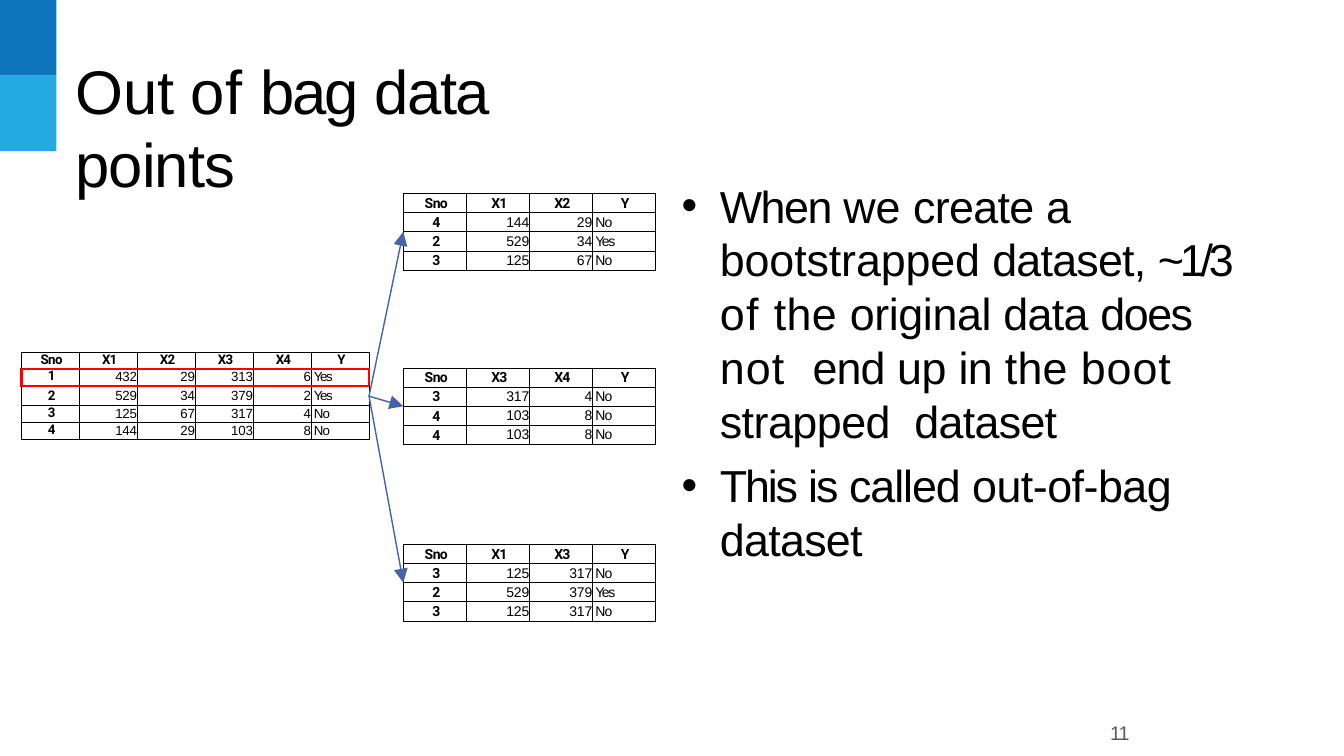
from lxml import etree
from pptx import Presentation
from pptx.dml.color import RGBColor
from pptx.enum.shapes import MSO_CONNECTOR, MSO_SHAPE
from pptx.enum.text import MSO_ANCHOR, MSO_AUTO_SIZE, PP_ALIGN
from pptx.oxml.ns import qn
from pptx.util import Inches, Pt

BLACK = RGBColor(0x00, 0x00, 0x00)
RED = RGBColor(0xFF, 0x00, 0x00)
GREY = RGBColor(0x58, 0x58, 0x58)
DARK_BLUE = RGBColor(0x0E, 0x75, 0xBC)
LIGHT_BLUE = RGBColor(0x24, 0xAA, 0xE1)
ARROW_BLUE = RGBColor(0x46, 0x62, 0xAA)
LEFT, CENTER, RIGHT = PP_ALIGN.LEFT, PP_ALIGN.CENTER, PP_ALIGN.RIGHT
TOP, NO_FIT = MSO_ANCHOR.TOP, MSO_AUTO_SIZE.NONE
RECTANGLE, STRAIGHT = MSO_SHAPE.RECTANGLE, MSO_CONNECTOR.STRAIGHT

TITLE = [("Out ", -0.3), ("of ", 0.3), ("bag ", -1.6), ("data ", -0.9), ("points", -0.7)]
POINTS = [
    [("When ", -1.1), ("we ", 0), ("create ", -0.5), ("a ", -2.1),
     ("bootstrapped ", -0.1), ("dataset, ", -0.6), ("~1/3 ", -3), ("of ", 1),
     ("the ", 0.2), ("original ", -0.3), ("data ", -0.5), ("does ", -1.1),
     ("not  ", 0.8), ("end ", -0.7), ("up ", -0.3), ("in ", -0.4), ("the ", 0.2),
     ("boot ", 0.7), ("strapped  ", -0.4), ("dataset", -0.5)],
    [("This ", -1.6), ("is ", -1.4), ("called ", -0.8), ("out-of-bag  ", -0.4),
     ("dataset", -0.5)],
]
SOURCE_ROWS = [
    ["Sno", "X1", "X2", "X3", "X4", "Y"],
    ["1", "432", "29", "313", "6", "Yes"],
    ["2", "529", "34", "379", "2", "Yes"],
    ["3", "125", "67", "317", "4", "No"],
    ["4", "144", "29", "103", "8", "No"],
]
SAMPLES = [
    (1.92, [["Sno", "X1", "X2", "Y"], ["4", "144", "29", "No"],
            ["2", "529", "34", "Yes"], ["3", "125", "67", "No"]]),
    (3.65, [["Sno", "X3", "X4", "Y"], ["3", "317", "4", "No"],
            ["4", "103", "8", "No"], ["4", "103", "8", "No"]]),
    (5.4, [["Sno", "X1", "X3", "Y"], ["3", "125", "317", "No"],
           ["2", "529", "379", "Yes"], ["3", "125", "317", "No"]]),
]
TRACKING = {"Sno": -0.4, "Yes": -1, "No": -0.6, "Y": 0}


def write(para, text, size, color=BLACK, font="Arial", bold=False, tracking=0):
    """Add one formatted span to a paragraph."""
    span = para.add_run()
    span.text = text
    span.font.size = Pt(size)
    span.font.name = font
    span.font.bold = bold
    span.font.color.rgb = color
    span._r.get_or_add_rPr().set("spc", str(round(tracking * 100)))


def write_paragraph(para, spans, size, color=BLACK):
    """Write tracked spans into a left-aligned paragraph."""
    para.alignment = LEFT
    para.line_spacing = Pt(size * 1.2)
    para.space_before = Pt(0)
    for text, tracking in spans:
        write(para, text, size, color=color, tracking=tracking)


def prepare_frame(frame, top_margin=0.01):
    """Set the wrapping, anchor and margins of a text frame."""
    frame.word_wrap = True
    frame.auto_size = NO_FIT
    frame.vertical_anchor = TOP
    frame.margin_left = frame.margin_right = frame.margin_bottom = 0
    frame.margin_top = Inches(top_margin)


def add_corner_blocks(page, left, top, width, height):
    """Stack the two blue blocks in the corner."""
    for index, color in enumerate((DARK_BLUE, LIGHT_BLUE)):
        block = page.shapes.add_shape(RECTANGLE, Inches(left), Inches(top + index * height),
                                      Inches(width), Inches(height))
        block.shadow.inherit = False
        block.fill.solid()
        block.fill.fore_color.rgb = color
        block.line.fill.background()


def place_title(page, left, top, width, height):
    """Move the title placeholder and fill it."""
    title = page.shapes.title
    title.left, title.top = Inches(left), Inches(top)
    title.width, title.height = Inches(width), Inches(height)
    prepare_frame(title.text_frame)
    write_paragraph(title.text_frame.paragraphs[0], TITLE, 44)


def add_points(page, left, top, width, height):
    """Add the bulleted explanation."""
    box = page.shapes.add_textbox(Inches(left), Inches(top), Inches(width), Inches(height))
    frame = box.text_frame
    prepare_frame(frame)
    for index, spans in enumerate(POINTS):
        para = frame.add_paragraph() if index else frame.paragraphs[0]
        write_paragraph(para, spans, 32)
        para.space_before = Pt(7.8 if index else 0)
        properties = para._p.get_or_add_pPr()
        properties.set("marL", str(Inches(0.38)))
        properties.set("indent", str(-Inches(0.38)))
        etree.SubElement(properties, qn("a:buFont")).set("typeface", "Arial")
        etree.SubElement(properties, qn("a:buChar")).set("char", "•")


def add_page_number(page, left, top, width, height):
    """Add the page number."""
    box = page.shapes.add_textbox(Inches(left), Inches(top), Inches(width), Inches(height))
    prepare_frame(box.text_frame, top_margin=0.09)
    box.text_frame.margin_left = Inches(0.03)
    write_paragraph(box.text_frame.paragraphs[0], [("11", -0.7)], 14, color=GREY)


def set_borders(cell, red_sides):
    """Draw thin black cell borders, with thick red ones on the given sides."""
    properties = cell._tc.get_or_add_tcPr()
    for side in "LRTB":
        color, width = (RED, 2.25) if side in red_sides else (BLACK, 0.5)
        line = etree.SubElement(properties, qn(f"a:ln{side}"), w=str(Pt(width)))
        fill = etree.SubElement(line, qn("a:solidFill"))
        etree.SubElement(fill, qn("a:srgbClr"), val=str(color))


def find_red_sides(row, column, last_column, marked_row):
    """Return the sides of a cell that outline the marked row."""
    if marked_row is None:
        return ""
    if row == marked_row:
        return "TB" + "L" * (column == 0) + "R" * (column == last_column)
    return {marked_row - 1: "B", marked_row + 1: "T"}.get(row, "")


def add_data_table(page, rows, left, top, width, heights, size,
                   line_heights=None, top_margins=None, marked_row=None):
    """Add a data table and return its frame."""
    count = len(rows[0])
    frame = page.shapes.add_table(len(rows), count, Inches(left), Inches(top),
                                  Inches(width), Inches(sum(heights)))
    table = frame.table
    table.first_row = table.horz_banding = False
    for column in table.columns:
        column.width = Inches(width / count)
    for row, texts in enumerate(rows):
        table.rows[row].height = Inches(heights[row])
        for column, text in enumerate(texts):
            cell = table.cell(row, column)
            set_borders(cell, find_red_sides(row, column, count - 1, marked_row))
            cell.fill.background()
            cell.vertical_anchor = TOP
            cell.margin_right = cell.margin_bottom = 0
            cell.margin_top = Inches(top_margins[row] if top_margins else 0.02)
            label = row == 0 or column == 0
            number = not label and text.isdigit()
            cell.margin_left = Inches(0 if number else 0.03)
            para = cell.text_frame.paragraphs[0]
            para.alignment = CENTER if label else RIGHT if number else LEFT
            if line_heights:
                para.line_spacing = Pt(line_heights[row])
            default = -0.6 if row == 0 else -0.1 if len(text) > 1 else 0
            write(para, text, size, font="Roboto" if label else "Arial", bold=label,
                  tracking=TRACKING.get(text, default))
    return frame


def add_arrow(page, source, sample):
    """Join the source table to a sample table with an arrow."""
    arrow = page.shapes.add_connector(STRAIGHT, 0, 0, 0, 0)
    arrow.begin_connect(source, 3)
    arrow.end_connect(sample, 1)
    arrow.line.color.rgb = ARROW_BLUE
    arrow.line.width = Pt(1)
    etree.SubElement(arrow.line._get_or_add_ln(), qn("a:tailEnd"),
                     type="triangle", w="lg", len="lg")
    etree.SubElement(arrow._element.spPr, qn("a:effectLst"))


def add_bootstrap_diagram(page, left, top):
    """Add the source table, its bootstrap samples and the arrows between them."""
    source = add_data_table(page, SOURCE_ROWS, left, top, 3.45,
                            [0.16, 0.17, 0.19, 0.17, 0.17], 9.5,
                            line_heights=[10.5, 10.2, 11.3, 11.3, 11.3],
                            top_margins=[0, 0.01, 0.02, 0, 0], marked_row=1)
    for sample_top, rows in SAMPLES:
        sample = add_data_table(page, rows, left + 3.79, sample_top, 2.5, [0.19] * 4, 10)
        add_arrow(page, source, sample)


def main():
    """Build the deck and save it."""
    deck = Presentation()
    deck.slide_width, deck.slide_height = Inches(13.33), Inches(7.5)
    page = deck.slides.add_slide(deck.slide_layouts[5])
    add_corner_blocks(page, 0, 0, 0.56, 0.75)
    place_title(page, 0.75, 0.51, 5.67, 0.76)
    add_points(page, 6.76, 1.76, 5.71, 3.87)
    add_bootstrap_diagram(page, 0.21, 3.5)
    add_page_number(page, 10.98, 7.06, 0.25, 0.35)
    deck.save("out.pptx")


if __name__ == "__main__":
    main()
